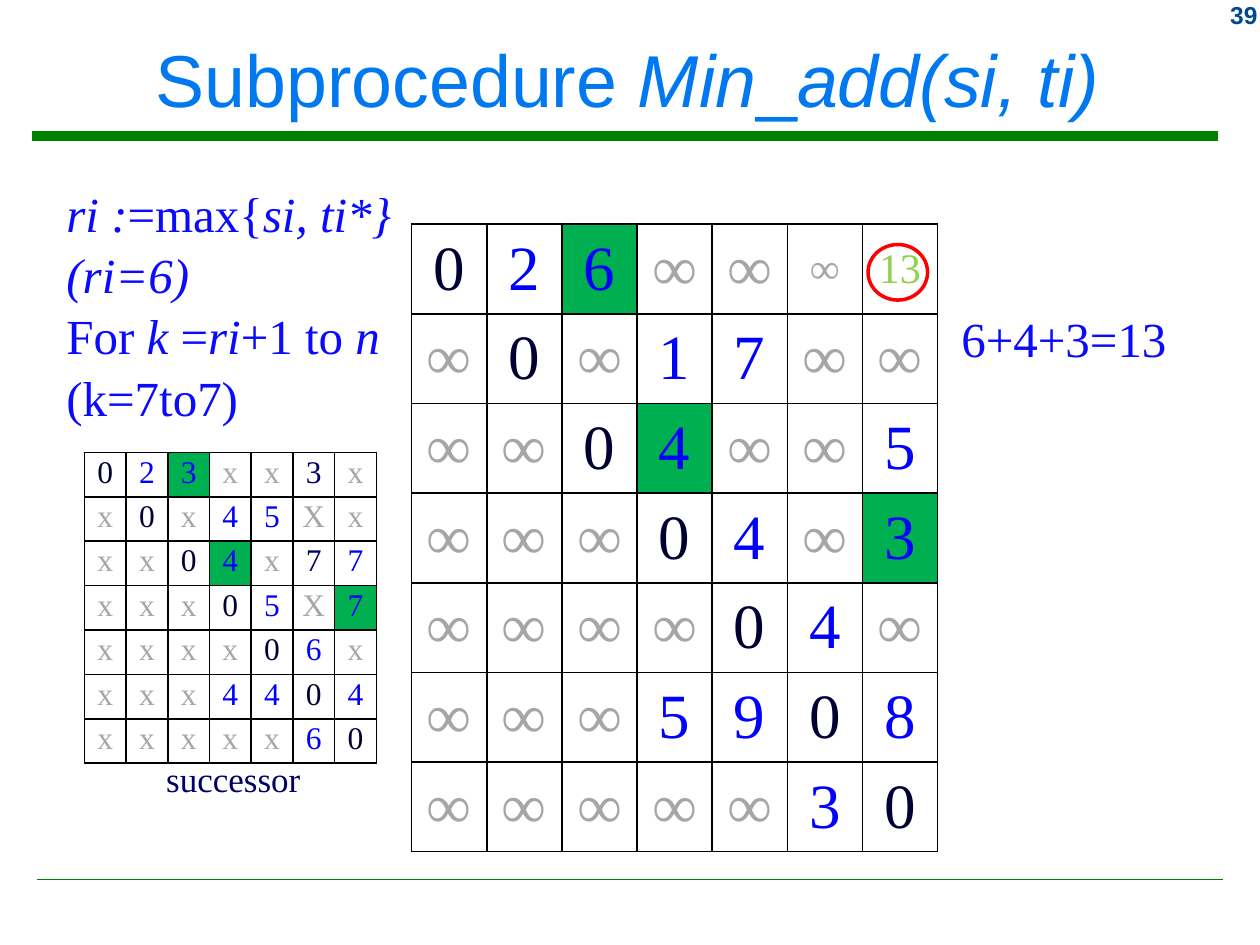
from dataclasses import dataclass, field

from lxml import etree
from pptx import Presentation
from pptx import util as u
from pptx.dml.color import RGBColor
from pptx.enum import shapes, text
from pptx.oxml import ns

SERIF, SANS = "Times New Roman", "Arial"
GREEN, BLUE, NAVY, CELL_GREEN = "008000", "0A0AFF", "000066", "00B050"
LEFT, CENTER, RIGHT = text.PP_ALIGN.LEFT, text.PP_ALIGN.CENTER, text.PP_ALIGN.RIGHT
Box = tuple[float, float, float, float]
Position = tuple[int, int]
Run = tuple[str, bool]  # wording, italic


@dataclass
class Label:
    box: Box
    lines: list[list[Run]]
    size: float
    color: str
    font: str = SERIF
    align: text.PP_ALIGN = LEFT
    anchor: text.MSO_ANCHOR = text.MSO_ANCHOR.TOP
    spacing: float = 1.04
    bold: bool = False
    wrap: bool = True


@dataclass
class Matrix:
    box: Box
    rows: list[str]
    size: float
    anchor: text.MSO_ANCHOR
    margins: tuple[float, float]  # sides, top and bottom
    path_cells: set[Position]
    colors: dict[Position, str] = field(default_factory=dict)
    sizes: dict[Position, float] = field(default_factory=dict)


def rgb(color: str) -> RGBColor:
    return RGBColor.from_string(color)


def cm(values) -> list[u.Length]:
    return [u.Cm(value) for value in values]


def style(font, name: str, size: float, color: str) -> None:
    font.name = name
    font.size = u.Pt(size)
    font.color.rgb = rgb(color)


def add_label(slide, label: Label) -> None:
    frame = slide.shapes.add_textbox(*cm(label.box)).text_frame
    frame.word_wrap = label.wrap
    frame.vertical_anchor = label.anchor
    for index, line in enumerate(label.lines):
        paragraph = frame.add_paragraph() if index else frame.paragraphs[0]
        paragraph.alignment = label.align
        paragraph.line_spacing = label.spacing
        for wording, italic in line:
            run = paragraph.add_run()
            run.text = wording
            style(run.font, label.font, label.size, label.color)
            run.font.italic = italic
            run.font.bold = label.bold


def add_rule(slide, left: float, top: float, width: float, weight: float) -> None:
    rule = slide.shapes.add_connector(
        shapes.MSO_CONNECTOR.STRAIGHT, *cm((left, top, left + width, top)))
    rule.line.color.rgb = rgb(GREEN)
    rule.line.width = u.Pt(weight)
    etree.SubElement(rule._element.spPr, ns.qn("a:effectLst"))


def add_borders(cell) -> None:
    """Put a thin black line on all four sides, ahead of the cell's fill."""
    properties = cell._tc.get_or_add_tcPr()
    for index, side in enumerate(("lnL", "lnR", "lnT", "lnB")):
        border = etree.Element(ns.qn(f"a:{side}"), w=str(u.Pt(1)))
        fill = etree.SubElement(border, ns.qn("a:solidFill"))
        etree.SubElement(fill, ns.qn("a:srgbClr"), val="000000")
        properties.insert(index, border)


def value_color(value: str) -> str:
    if value == "0":
        return "000033"
    return "A6A6A6" if value in "∞xX" else "0000FF"


def add_matrix(slide, matrix: Matrix) -> None:
    values = [row.split() for row in matrix.rows]
    count = len(values)
    table = slide.shapes.add_table(count, count, *cm(matrix.box)).table
    table.first_row = table.horz_banding = False
    for column in table.columns:
        column.width = u.Cm(matrix.box[2] / count)
    side, edge = cm(matrix.margins)
    for r, row in enumerate(values):
        table.rows[r].height = u.Cm(matrix.box[3] / count)
        for c, value in enumerate(row):
            cell = table.cell(r, c)
            cell.margin_left = cell.margin_right = side
            cell.margin_top = cell.margin_bottom = edge
            cell.vertical_anchor = matrix.anchor
            cell.fill.solid()
            cell.fill.fore_color.rgb = rgb(
                CELL_GREEN if (r, c) in matrix.path_cells else "FFFFFF")
            add_borders(cell)
            cell.text_frame.text = value
            paragraph = cell.text_frame.paragraphs[0]
            paragraph.alignment = CENTER
            style(paragraph.runs[0].font, SERIF,
                  matrix.sizes.get((r, c), matrix.size),
                  matrix.colors.get((r, c), value_color(value)))


def add_result_ring(slide, box: Box) -> None:
    ring = slide.shapes.add_shape(shapes.MSO_SHAPE.OVAL, *cm(box))
    ring.shadow.inherit = False
    ring.fill.background()
    ring.line.color.rgb = rgb("FF0000")
    ring.line.width = u.Pt(2)


PATH_CELLS = {(0, 2), (2, 3), (3, 6)}

DISTANCES = Matrix(
    (8.3, 4.52, 10.6, 12.65),
    ["0 2 6 ∞ ∞ ∞ 13",
     "∞ 0 ∞ 1 7 ∞ ∞",
     "∞ ∞ 0 4 ∞ ∞ 5",
     "∞ ∞ ∞ 0 4 ∞ 3",
     "∞ ∞ ∞ ∞ 0 4 ∞",
     "∞ ∞ ∞ 5 9 0 8",
     "∞ ∞ ∞ ∞ ∞ 3 0"],
    36, text.MSO_ANCHOR.MIDDLE, (0.25, 0.13), PATH_CELLS,
    colors={(0, 6): "92D050"}, sizes={(0, 5): 24, (0, 6): 24})

SUCCESSORS = Matrix(
    (1.7, 9.12, 5.89, 6.27),
    ["0 2 3 x x 3 x",
     "x 0 x 4 5 X x",
     "x x 0 4 x 7 7",
     "x x x 0 5 X 7",
     "x x x x 0 6 x",
     "x x x 4 4 0 4",
     "x x x x x 6 0"],
    18, text.MSO_ANCHOR.TOP, (0.13, 0.05), PATH_CELLS,
    colors={(0, 5): NAVY, (2, 5): NAVY})

PAGE_NUMBER = Label((23.29, -0.13, 2.31, 0.84), [[("39", False)]], 14, "004992",
                    SANS, RIGHT, spacing=1, bold=True)
TITLE = Label((0.2, 0.23, 24.9, 2.69),
              [[("Subprocedure ", False), ("Min", True), ("_", False),
                ("add(si, ti)", True)]],
              42, "0078F0", SANS, CENTER, text.MSO_ANCHOR.MIDDLE, spacing=1)
PROCEDURE = Label((1.09, 3.53, 8.2, 5.05),
                  [[("ri :", True), ("=max{", False), ("si, ti*}", True)],
                   [("(ri=6)", True)],
                   [("For ", False), ("k ", True), ("=", False), ("ri", True),
                    ("+1 to ", False), ("n", True)],
                   [("(k=7to7)", False)]],
                  28, BLUE)
CAPTION = Label((3.1, 15.11, 3.25, 1.12), [[("successor", False)]], 20, NAVY, wrap=False)
SUM = Label((19.13, 6.05, 5.79, 1.45), [[("6+4+3=13", False)]], 28, BLUE)


def main() -> None:
    deck = Presentation()
    deck.slide_width, deck.slide_height = cm((25.4, 19.05))
    slide = deck.slides.add_slide(deck.slide_layouts[6])
    add_rule(slide, 0.64, 2.74, 23.92, 5.25)
    add_rule(slide, 0.74, 17.73, 23.92, 1)
    add_label(slide, PAGE_NUMBER)
    add_label(slide, TITLE)
    add_matrix(slide, DISTANCES)
    for label in (CAPTION, PROCEDURE, SUM):
        add_label(slide, label)
    add_result_ring(slide, (17.5, 4.93, 1.2, 1.12))
    add_matrix(slide, SUCCESSORS)
    deck.save("out.pptx")


if __name__ == "__main__":
    main()
